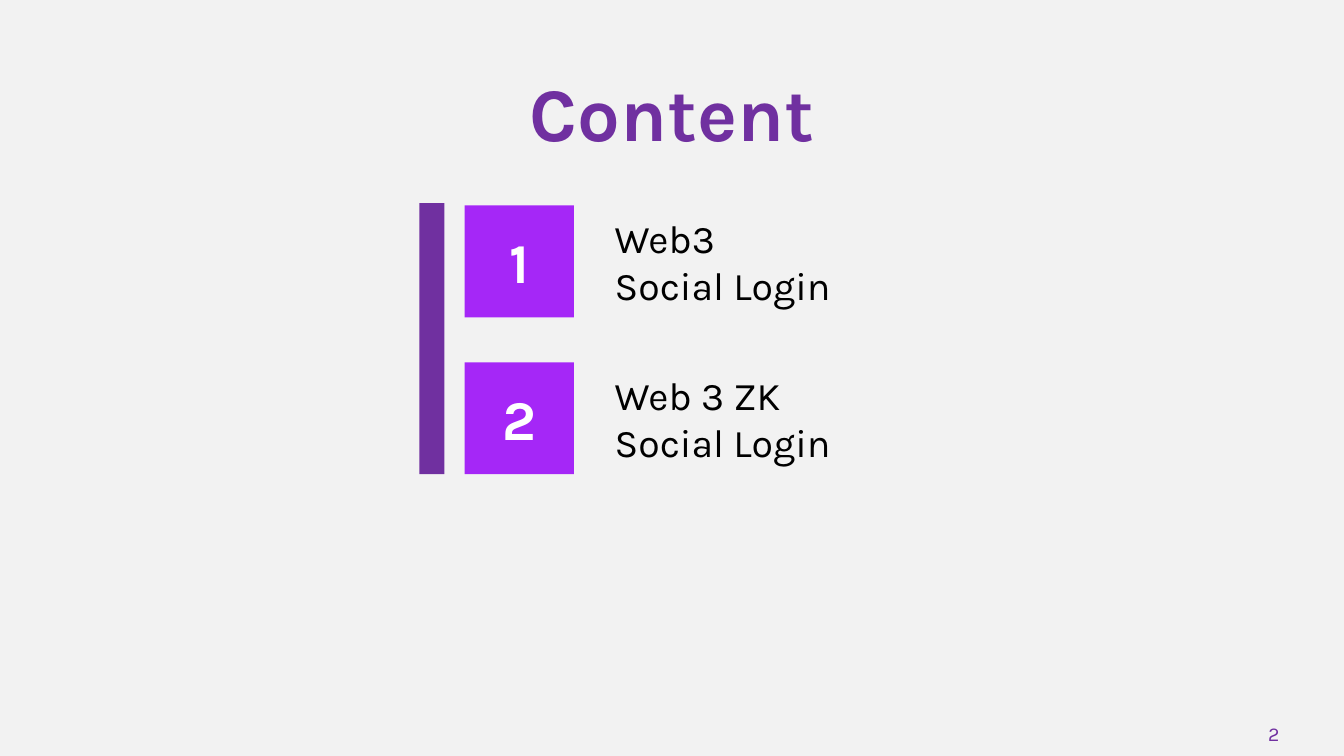
from dataclasses import dataclass
from typing import Optional

from pptx import Presentation
from pptx.dml.color import RGBColor
from pptx.enum import shapes, text
from pptx.util import Pt


@dataclass(frozen=True)
class Theme:
    font: str = "Karla"
    background: str = "F2F2F2"
    purple: str = "7030A0"
    violet: str = "A527F7"
    white: str = "FFFFFF"
    black: str = "000000"
    title_size: float = 54
    number_size: float = 40
    label_size: float = 28
    page_size: float = 14


@dataclass(frozen=True)
class Box:
    left: float
    top: float
    width: float
    height: float

    def lengths(self) -> tuple:
        return Pt(self.left), Pt(self.top), Pt(self.width), Pt(self.height)


@dataclass(frozen=True)
class TextStyle:
    size: float
    color: str
    bold: bool = False
    align: text.PP_ALIGN = text.PP_ALIGN.LEFT
    line_spacing: Optional[float] = None


@dataclass(frozen=True)
class Topic:
    lines: tuple[str, ...]
    label_width: float


THEME = Theme()
CENTER = text.PP_ALIGN.CENTER
TITLE = TextStyle(THEME.title_size, THEME.purple, True, CENTER, 0.89)
NUMBER = TextStyle(THEME.number_size, THEME.white, True, CENTER)
LABEL = TextStyle(THEME.label_size, THEME.black)
PAGE = TextStyle(THEME.page_size, THEME.purple, align=text.PP_ALIGN.RIGHT)

TOPICS = (
    Topic(("Web3", "Social Login"), 210.24),
    Topic(("Web 3 ZK", "Social Login"), 248.4),
)
TILE_LEFT, LABEL_LEFT = 331.9, 432
TILE_WIDTH, TILE_HEIGHT = 78, 80
FIRST_TOP, ROW_STEP = 146.8, 112


def write_lines(shape, lines: tuple[str, ...], style: TextStyle) -> None:
    frame = shape.text_frame
    frame.word_wrap = True
    frame.vertical_anchor = text.MSO_ANCHOR.MIDDLE
    frame.text = "\n".join(lines)
    for paragraph in frame.paragraphs:
        paragraph.alignment = style.align
        paragraph.line_spacing = style.line_spacing
        paragraph.font.name = THEME.font
        paragraph.font.size = Pt(style.size)
        paragraph.font.bold = style.bold
        paragraph.font.color.rgb = RGBColor.from_string(style.color)


def add_text(slide, box: Box, lines: tuple[str, ...], style: TextStyle) -> None:
    write_lines(slide.shapes.add_textbox(*box.lengths()), lines, style)


def add_rectangle(slide, box: Box, color: str):
    shape = slide.shapes.add_shape(shapes.MSO_SHAPE.RECTANGLE, *box.lengths())
    shape.shadow.inherit = False
    shape.fill.solid()
    shape.fill.fore_color.rgb = RGBColor.from_string(color)
    shape.line.fill.background()
    return shape


def add_topic(slide, number: int, topic: Topic) -> None:
    top = FIRST_TOP + (number - 1) * ROW_STEP
    tile = add_rectangle(slide, Box(TILE_LEFT, top, TILE_WIDTH, TILE_HEIGHT), THEME.violet)
    write_lines(tile, (str(number),), NUMBER)
    add_text(slide, Box(LABEL_LEFT, top, topic.label_width, TILE_HEIGHT), topic.lines, LABEL)


def main() -> None:
    presentation = Presentation()
    presentation.slide_width, presentation.slide_height = Pt(960), Pt(540)
    slide = presentation.slides.add_slide(presentation.slide_layouts[6])
    slide.background.fill.solid()
    slide.background.fill.fore_color.rgb = RGBColor.from_string(THEME.background)

    # Heading
    add_text(slide, Box(332, 52.6, 296, 62), ("Content",), TITLE)

    # Numbered topics
    for number, topic in enumerate(TOPICS, start=1):
        add_topic(slide, number, topic)

    # Side bar
    add_rectangle(slide, Box(299.5, 145.2, 18, 193.6), THEME.purple)

    # Page number
    add_text(slide, Box(795, 508.3, 126, 31.7), ("2",), PAGE)

    presentation.save("out.pptx")


if __name__ == "__main__":
    main()
